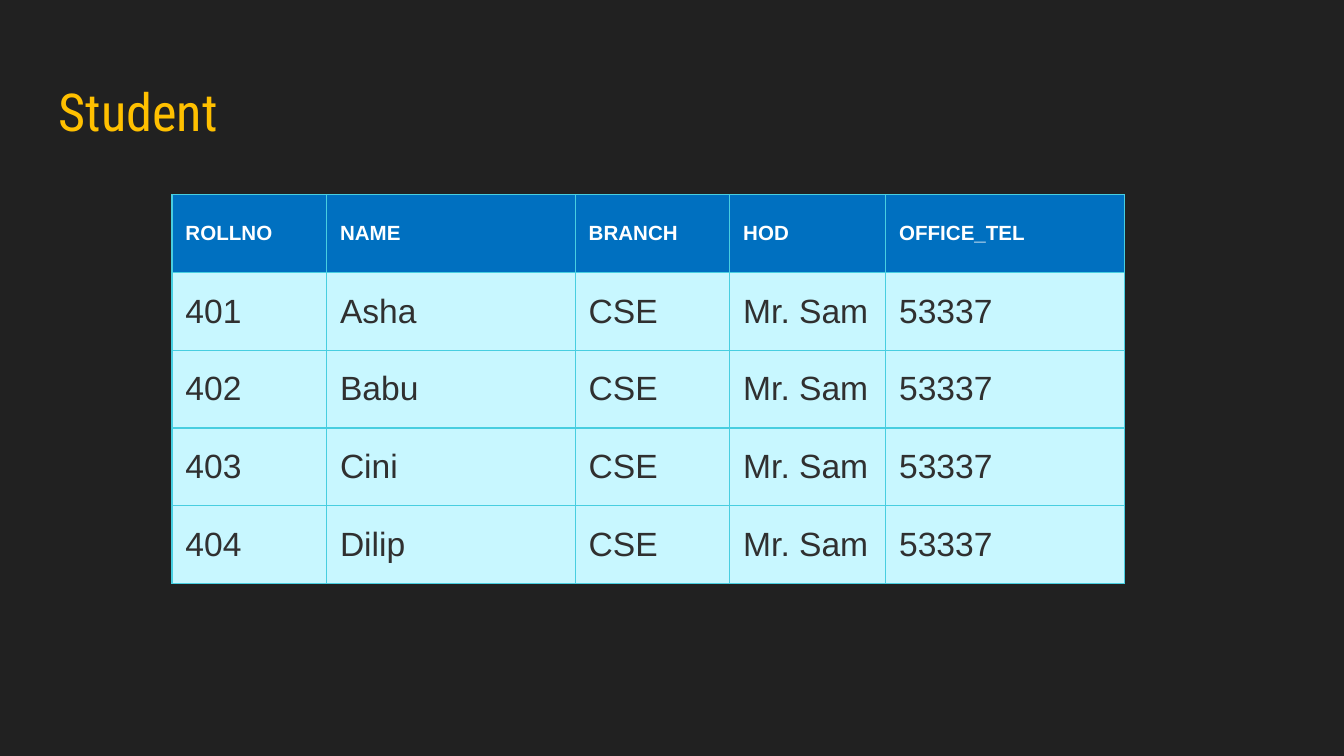
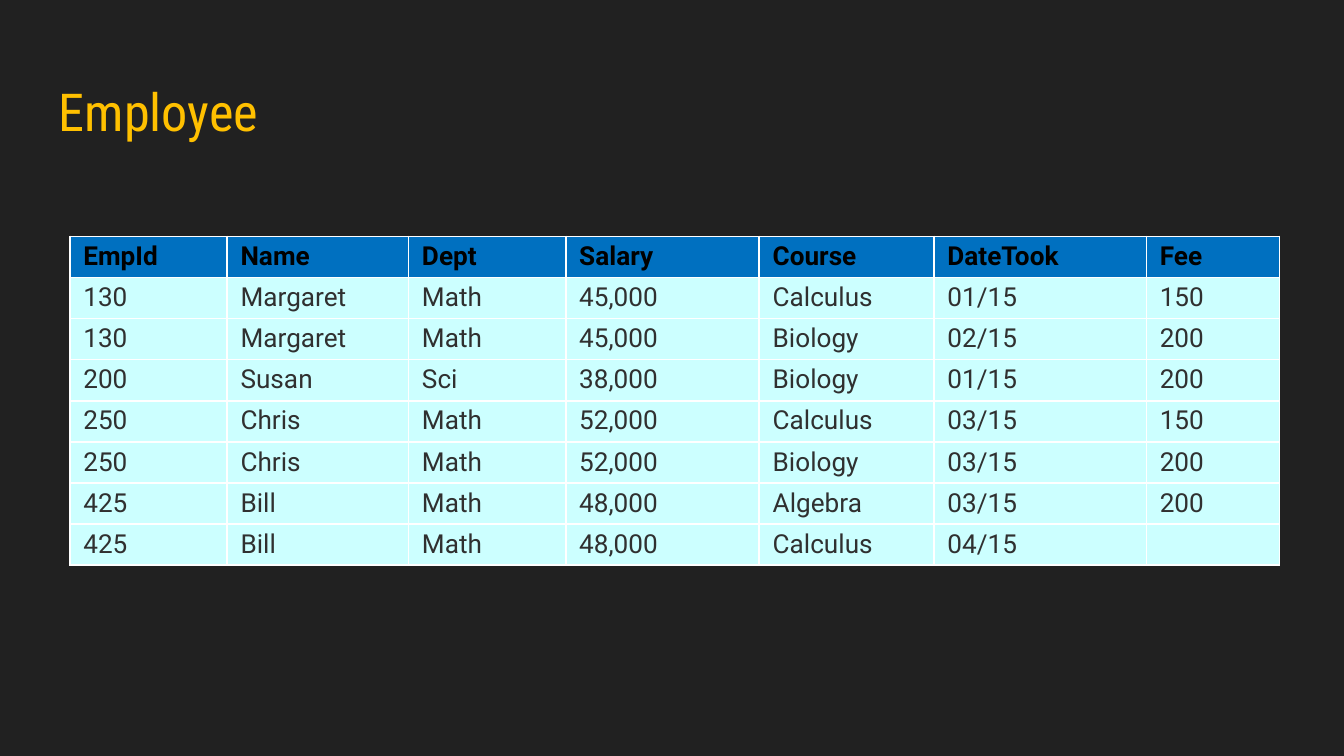
from lxml import etree
from pptx import Presentation
from pptx.dml.color import RGBColor
from pptx.enum.text import MSO_ANCHOR
from pptx.oxml.ns import qn
from pptx.util import Inches, Pt

TOP, MIDDLE = MSO_ANCHOR.TOP, MSO_ANCHOR.MIDDLE

DARK = RGBColor(0x21, 0x21, 0x21)
GOLD = RGBColor(0xFF, 0xC0, 0x00)
BLUE = RGBColor(0x00, 0x70, 0xC0)
WHITE = RGBColor(0xFF, 0xFF, 0xFF)
BLACK = RGBColor(0x00, 0x00, 0x00)
INK = RGBColor(0x30, 0x30, 0x30)
TEAL = RGBColor(0x48, 0xCE, 0xE0)
ICE = RGBColor(0xC8, 0xF7, 0xFF)
AQUA = RGBColor(0xCC, 0xFF, 0xFF)

TITLE_BOX = (0.34, 0.49, 9.32, 0.63)

STUDENTS = [("ROLLNO", "NAME", "BRANCH", "HOD", "OFFICE_TEL")] + [
    (roll, name, "CSE", "Mr. Sam", "53337")
    for roll, name in (("401", "Asha"), ("402", "Babu"),
                       ("403", "Cini"), ("404", "Dilip"))
]
STAFF = [
    ("EmpId", "Name", "Dept", "Salary", "Course", "DateTook", "Fee"),
    ("130", "Margaret", "Math", "45,000", "Calculus", "01/15", "150"),
    ("130", "Margaret", "Math", "45,000", "Biology", "02/15", "200"),
    ("200", "Susan", "Sci", "38,000", "Biology", "01/15", "200"),
    ("250", "Chris", "Math", "52,000", "Calculus", "03/15", "150"),
    ("250", "Chris", "Math", "52,000", "Biology", "03/15", "200"),
    ("425", "Bill", "Math", "48,000", "Algebra", "03/15", "200"),
    ("425", "Bill", "Math", "48,000", "Calculus", "04/15", ""),
]

# Table looks: head and body are (size, text colour, fill)
STUDENT_LOOK = dict(font="Arial", head=(11, WHITE, BLUE), body=(18, INK, ICE),
                    edge=(TEAL, 0.75), anchor=MIDDLE)
STAFF_LOOK = dict(font="Roboto", head=(14, BLACK, BLUE), body=(14, INK, AQUA),
                  edge=(WHITE, 1), anchor=TOP)


def set_font(para, name, size, color, bold=False):
    font = para.font
    font.name, font.size, font.bold = name, Pt(size), bold
    font.color.rgb = color


def add_title(slide, text, box):
    frame = slide.shapes.add_textbox(*map(Inches, box)).text_frame
    frame.word_wrap = True
    frame.vertical_anchor = TOP
    frame.margin_left = frame.margin_right = Inches(0.1)
    frame.margin_top = frame.margin_bottom = Inches(0.1)
    para = frame.paragraphs[0]
    para.text = text
    set_font(para, "Roboto Condensed", 28, GOLD)


def set_edges(cell, color, width):
    # Border lines come before the fill in the cell properties
    props = cell._tc.get_or_add_tcPr()
    for place, tag in enumerate(("a:lnL", "a:lnR", "a:lnT", "a:lnB")):
        line = etree.Element(qn(tag), w=str(int(Pt(width))))
        fill = etree.SubElement(line, qn("a:solidFill"))
        etree.SubElement(fill, qn("a:srgbClr"), val=str(color))
        props.insert(place, line)


def fill_cell(cell, text, look, is_head):
    size, color, fill = look["head" if is_head else "body"]
    cell.margin_left = cell.margin_right = Inches(0.1)
    cell.margin_top = cell.margin_bottom = Pt(2.6)
    cell.vertical_anchor = look["anchor"]
    cell.fill.solid()
    cell.fill.fore_color.rgb = fill
    set_edges(cell, *look["edge"])
    para = cell.text_frame.paragraphs[0]
    para.text = text
    set_font(para, look["font"], size, color, is_head)


def add_grid(slide, data, left, top, widths, height, look):
    frame = slide.shapes.add_table(
        len(data), len(widths), Inches(left), Inches(top),
        Inches(sum(widths)), Inches(height))
    table = frame.table
    table.horz_banding = False
    for col, width in zip(table.columns, widths):
        col.width = Inches(width)
    for r, texts in enumerate(data):
        table.rows[r].height = Inches(height / len(data))
        for c, text in enumerate(texts):
            fill_cell(table.cell(r, c), text, look, r == 0)


def add_page(deck, title):
    slide = deck.slides.add_slide(deck.slide_layouts[6])
    slide.background.fill.solid()
    slide.background.fill.fore_color.rgb = DARK
    add_title(slide, title, TITLE_BOX)
    return slide


def main():
    # Widescreen page, 16 to 9
    deck = Presentation()
    deck.slide_width = Inches(10)
    deck.slide_height = Inches(10 * 9 / 16)

    # Student table
    slide = add_page(deck, "Student")
    add_grid(slide, STUDENTS, 1.28, 1.45, (1.15, 1.85, 1.15, 1.16, 1.78),
             2.89, STUDENT_LOOK)

    # Employee table
    slide = add_page(deck, "Employee")
    add_grid(slide, STAFF, 0.52, 1.76,
             (1.17, 1.35, 1.17, 1.44, 1.3, 1.58, 0.99), 2.44, STAFF_LOOK)

    deck.save("out.pptx")


if __name__ == "__main__":
    main()
